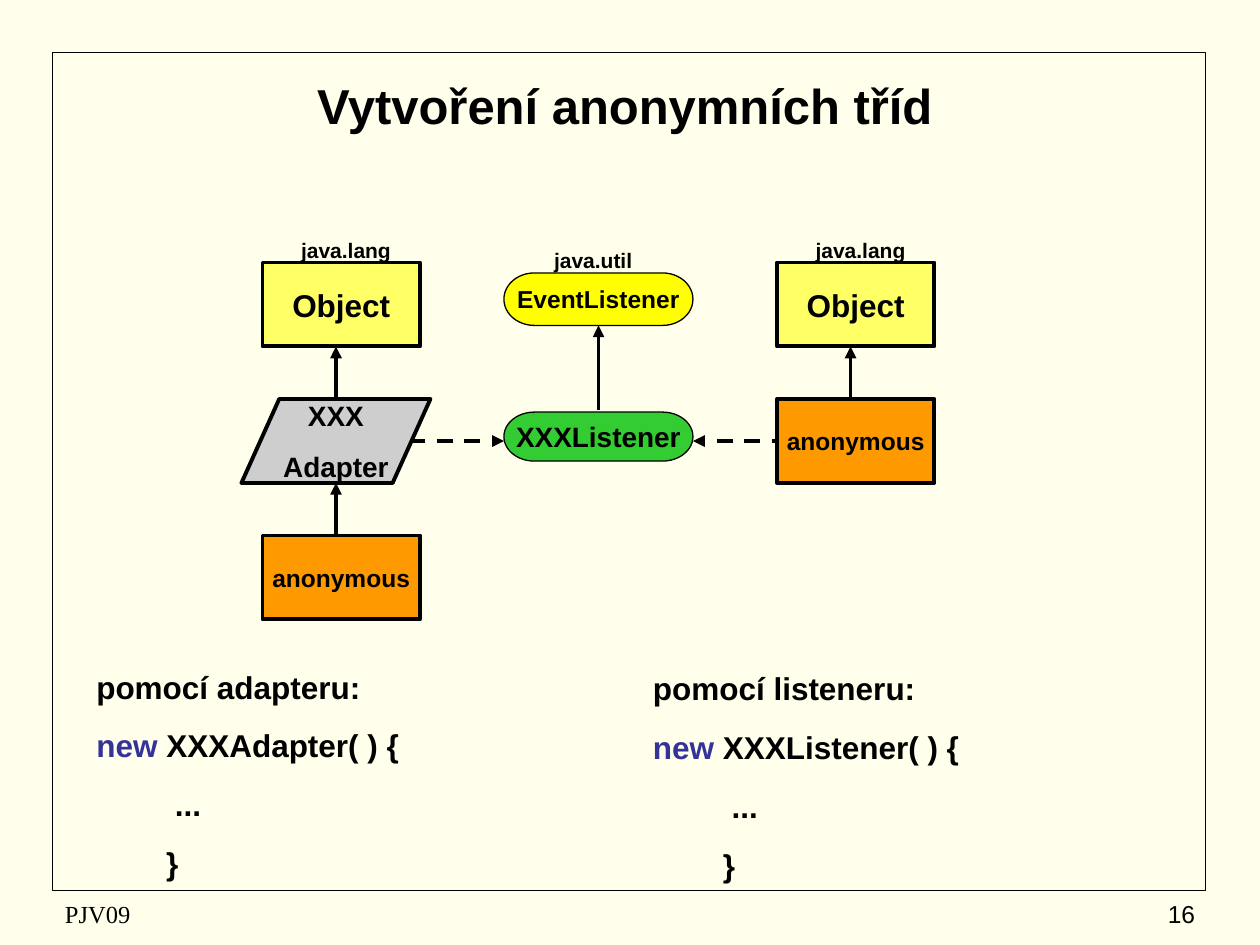
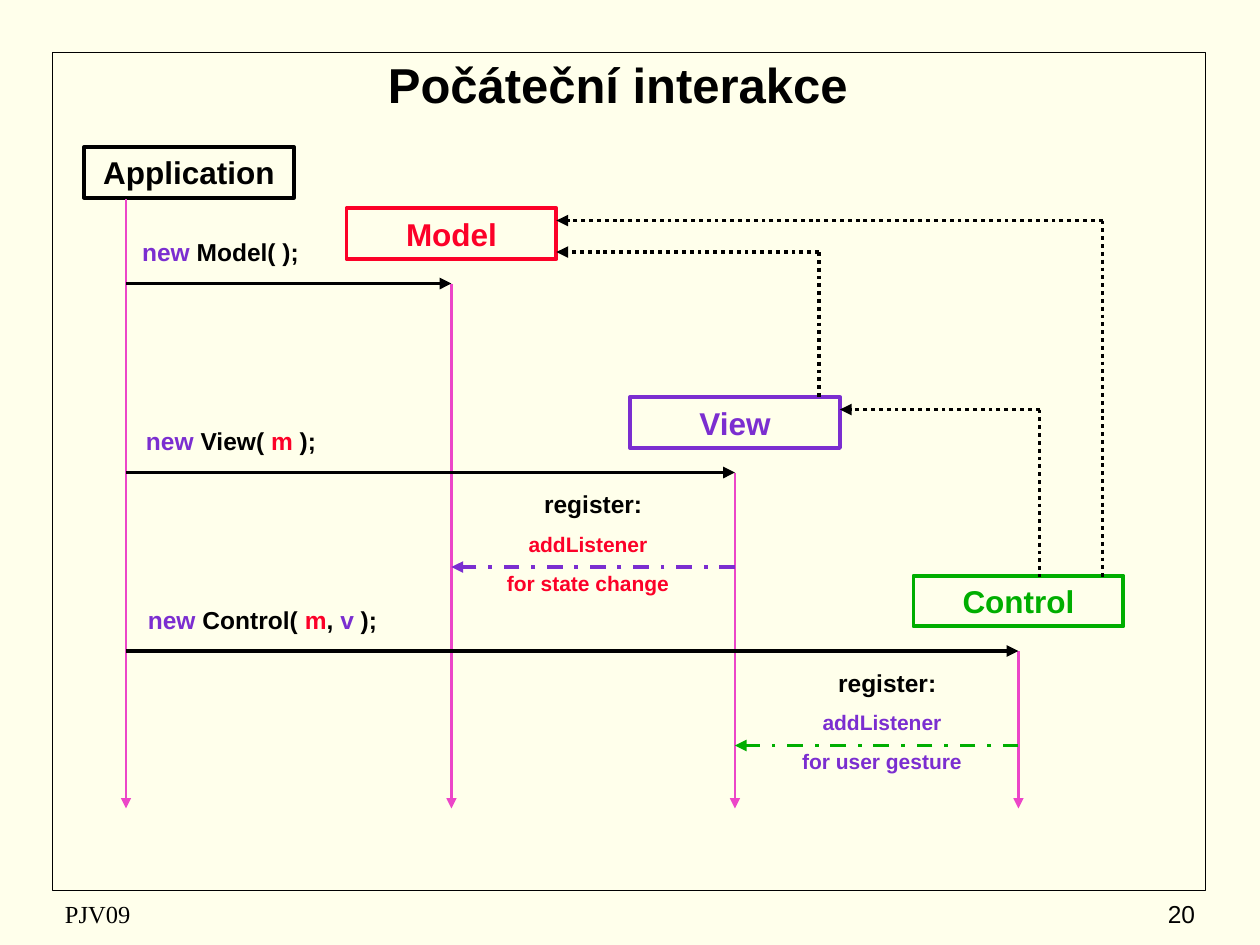
import pptx
import pptx.util
import pptx.dml.color
import pptx.enum.dml
import pptx.enum.shapes
import pptx.enum.text
import pptx.oxml
import pptx.oxml.ns

Pt = pptx.util.Pt
RGB = pptx.dml.color.RGBColor.from_string
SHAPE = pptx.enum.shapes.MSO_SHAPE
DASH = pptx.enum.dml.MSO_LINE
ALIGN = pptx.enum.text.PP_ALIGN
ANCHOR = pptx.enum.text.MSO_ANCHOR

COLORS = {
    "background": "FFFFEB",
    "black": "000000",
    "keyword": "333399",
    "class": "FFFF66",
    "interface": "FFFF00",
    "listener": "33CC33",
    "adapter": "CECECE",
    "anonymous": "FF9900",
    "model": "FC0128",
    "view": "7B2ED0",
    "control": "00AE00",
    "lifeline": "EC46C8",
}


def place(slide, box, lines, size, kind=None, fill=None, outline="black", weight=2.25,
          color="black", align=ALIGN.CENTER, gap=0, bold=True, font="Arial", anchor=ANCHOR.TOP):
    """Add a shape, or a text box if kind is None; a line is a string or (text, colour) runs."""
    frame = [Pt(length) for length in box]
    if kind is None:
        shape = slide.shapes.add_textbox(*frame)
    else:
        shape = slide.shapes.add_shape(kind, *frame)
        shape.shadow.inherit = False
        shape.line.color.rgb = RGB(COLORS[outline])
        shape.line.width = Pt(weight)
        if fill:
            shape.fill.solid()
            shape.fill.fore_color.rgb = RGB(COLORS[fill])
        else:
            shape.fill.background()
        anchor = ANCHOR.MIDDLE
    text = shape.text_frame
    text.word_wrap = kind is None
    text.vertical_anchor = anchor
    for index, line in enumerate(lines):
        paragraph = text.add_paragraph() if index else text.paragraphs[0]
        paragraph.alignment = align
        if index:
            paragraph.space_before = Pt(gap)
        paragraph.font.size = Pt(size)
        paragraph.font.name = font
        paragraph.font.bold = bold
        runs = [(line, color)] if isinstance(line, str) else line
        for words, run_color in runs:
            run = paragraph.add_run()
            run.text = words
            run.font.color.rgb = RGB(COLORS[run_color])


def connect(slide, start, end, color="black", weight=2.25, dash=None, arrow=True):
    line = slide.shapes.add_connector(
        pptx.enum.shapes.MSO_CONNECTOR.STRAIGHT, *[Pt(value) for value in start + end])
    line.line.color.rgb = RGB(COLORS[color])
    line.line.width = Pt(weight)
    if dash:
        line.line.dash_style = dash
    properties = line._element.spPr
    if arrow:
        outline = properties.find(pptx.oxml.ns.qn("a:ln"))
        head = pptx.oxml.parse_xml(f'<a:tailEnd {pptx.oxml.ns.nsdecls("a")} type="triangle"/>')
        outline.append(head)
    properties.append(pptx.oxml.parse_xml(f'<a:effectLst {pptx.oxml.ns.nsdecls("a")}/>'))


presentation = pptx.Presentation()
presentation.slide_width = Pt(720)
presentation.slide_height = Pt(540)
background = presentation.slide_master.background.fill
background.solid()
background.fore_color.rgb = RGB(COLORS["background"])

# Shared frame, title and footer
slides = []
for heading, left, top, number in [
    ("Vytvoření anonymních tříd", 36, 36, "16"),
    ("Počáteční interakce", 32, 24, "20"),
]:
    slide = presentation.slides.add_slide(presentation.slide_layouts[5])
    slides.append(slide)
    place(slide, (30, 30, 659, 479), [], 14, SHAPE.RECTANGLE, weight=1)
    title = slide.shapes.title
    title.left, title.top, title.width, title.height = Pt(left), Pt(top), Pt(642), Pt(48)
    title.text_frame.text = heading
    title.text_frame.vertical_anchor = ANCHOR.MIDDLE
    paragraph = title.text_frame.paragraphs[0]
    paragraph.alignment = ALIGN.CENTER
    paragraph.font.size = Pt(28)
    paragraph.font.name = "Arial"
    paragraph.font.bold = True
    paragraph.font.color.rgb = RGB(COLORS["black"])
    place(slide, (30, 510, 228, 24), ["PJV09"], 14, align=ALIGN.LEFT, bold=False,
          font="Times New Roman", anchor=ANCHOR.MIDDLE)
    place(slide, (540, 510, 150, 24), [number], 14, align=ALIGN.RIGHT, bold=False,
          anchor=ANCHOR.MIDDLE)
classes, interaction = slides

# Anonymous classes: inheritance is solid, implementation is dashed
for start, end in [((192, 228), (192, 198)), ((192, 306), (192, 276)),
                   ((486, 228), (486, 198)), ((342, 234), (342, 186))]:
    connect(classes, start, end)
for start, end in [((234, 252), (288, 252)), ((450, 252), (396, 252))]:
    connect(classes, start, end, dash=DASH.DASH)

for left, anonymous_top in [(150, 306), (444, 228)]:
    place(classes, (left, 150, 90, 48), ["Object"], 18, SHAPE.RECTANGLE, "class")
    place(classes, (left + 15, 132, 72, 21), ["java.lang"], 12, align=ALIGN.LEFT)
    place(classes, (left, anonymous_top, 90, 48), ["anonymous"], 14, SHAPE.RECTANGLE, "anonymous")

place(classes, (138, 228, 108, 48), ["XXX", "Adapter"], 16, SHAPE.FLOWCHART_DATA, "adapter", gap=10)
place(classes, (306, 138, 66, 21), ["java.util"], 12)
place(classes, (288, 156, 108, 30), ["EventListener"], 14, SHAPE.FLOWCHART_TERMINATOR,
      "interface", weight=0.75)
place(classes, (288, 235.5, 108, 28), ["XXXListener"], 16, SHAPE.FLOWCHART_TERMINATOR,
      "listener", weight=0.75)

for box, caption, constructor in [
    ((48, 378, 246, 127), "pomocí adapteru:", " XXXAdapter( ) {"),
    ((366, 379, 264, 127), "pomocí listeneru:", " XXXListener( ) {"),
]:
    code = [caption, [("new", "keyword"), (constructor, "black")], "         ...", "        }"]
    place(classes, box, code, 18, align=ALIGN.LEFT, gap=12)

# Initial interaction: participants, lifelines and constructor calls
application_x, lifeline_end = 72, 462
place(interaction, (48, 84, 120, 29), ["Application"], 18, SHAPE.RECTANGLE)
connect(interaction, (application_x, 114), (application_x, lifeline_end), "lifeline", 1.5)

for name, color, x, y, label_left, call in [
    ("Model", "model", 258, 162, 42, [(" Model( );", "black")]),
    ("View", "view", 420, 270, 48, [(" View( ", "black"), ("m", "model"), (" );", "black")]),
    ("Control", "control", 582, 372, 66,
     [(" Control( ", "black"), ("m", "model"), (", ", "black"), ("v", "view"), (" );", "black")]),
]:
    place(interaction, (x - 60, y - 43, 120, 29), [name], 18, SHAPE.RECTANGLE,
          outline=color, color=color)
    connect(interaction, (x, y), (x, lifeline_end), "lifeline", 1.5)
    connect(interaction, (application_x, y), (x, y))
    place(interaction, (label_left, y - 30, 168, 24), [[("new", "view")] + call], 14)

# Listener registrations
for sender_x, target_x, y, label_left, sender, target, event in [
    (420, 258, 324, 198, "view", "model", "for state change"),
    (582, 420, 426, 366, "control", "view", "for user gesture"),
]:
    connect(interaction, (sender_x, y), (target_x, y), sender, dash=DASH.DASH_DOT)
    place(interaction, (label_left + 102, y - 48, 78, 24), ["register:"], 14)
    place(interaction, (label_left, y - 24, 276, 44), ["addListener", event], 12,
          color=target, gap=8)

# References kept by the view and the control
for x, y, target_x, bottom in [(468, 144, 318, 228), (594, 234, 480, 330), (630, 126, 318, 330)]:
    connect(interaction, (x, y), (target_x, y), dash=DASH.ROUND_DOT)
    connect(interaction, (x, y), (x, bottom), dash=DASH.ROUND_DOT, arrow=False)

presentation.save("out.pptx")
